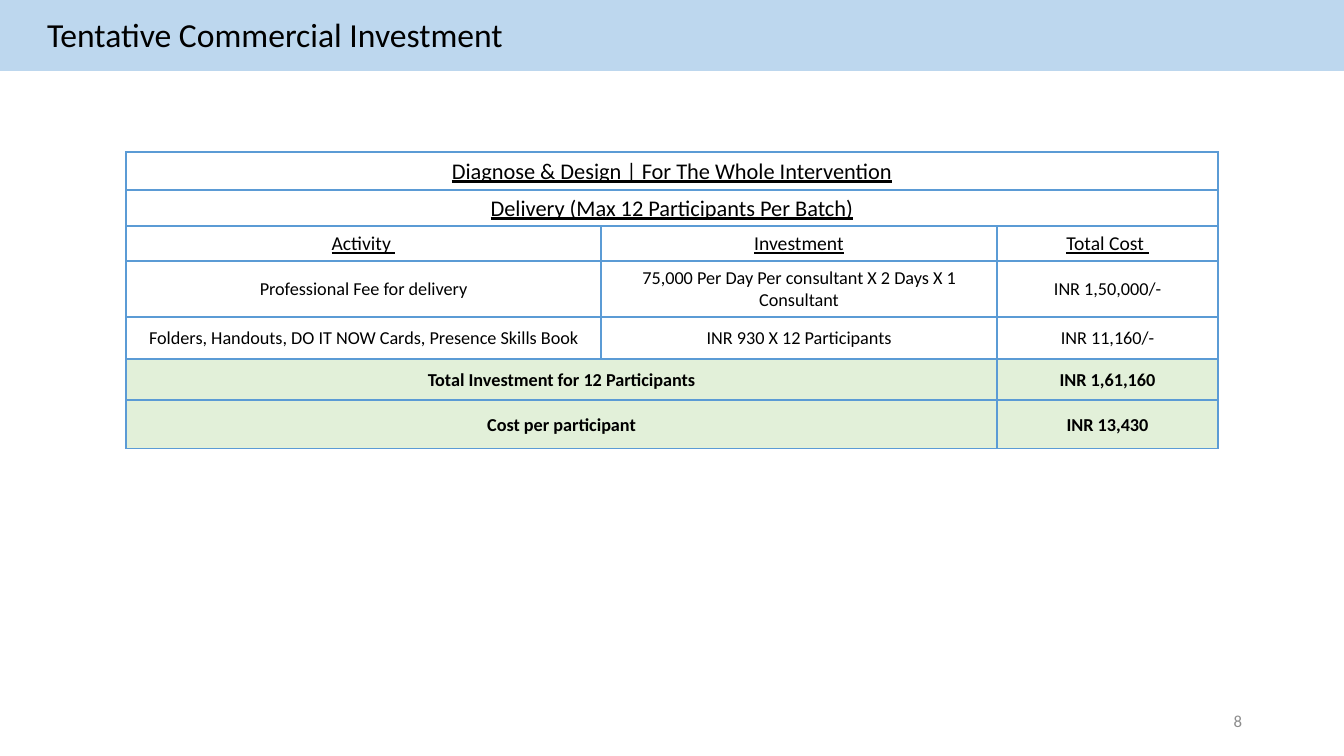
"""Build the commercial investment slide with its cost table."""
import dataclasses
import typing

import lxml.etree
import pptx
import pptx.dml.color
import pptx.enum.shapes
import pptx.enum.text
import pptx.oxml.ns
import pptx.util

EMU_PER_PX = 914400 / 100.8
FONT = "Calibri"
BLACK, GREY = "000000", "8C8C8C"
BAR_BLUE, BORDER_BLUE, TOTAL_GREEN = "BDD7EE", "5B9BD5", "E2F0D9"
ALIGN = pptx.enum.text.PP_ALIGN
ANCHOR = pptx.enum.text.MSO_ANCHOR
AUTO_SIZE = pptx.enum.text.MSO_AUTO_SIZE


@dataclasses.dataclass(frozen=True)
class Box:
    left: int
    top: int
    width: int
    height: int


@dataclasses.dataclass(frozen=True)
class CostRow:
    height: int
    texts: tuple[str, ...]
    size: int = 13
    underline: bool = False
    bold: bool = False
    fill: str | None = None


TABLE_LEFT, TABLE_TOP = 126, 152
COLUMN_WIDTHS = (475, 396, 221)
COST_ROWS = (
    CostRow(38, ("Diagnose & Design | For The Whole Intervention",), 16, underline=True),
    CostRow(36, ("Delivery (Max 12 Participants Per Batch)",), 16, underline=True),
    CostRow(35, ("Activity ", "Investment", "Total Cost "), 14, underline=True),
    CostRow(56, ("Professional Fee for delivery",
                 "75,000 Per Day Per consultant X 2 Days X 1 Consultant",
                 "INR 1,50,000/-")),
    CostRow(42, ("Folders, Handouts, DO IT NOW Cards, Presence Skills Book",
                 "INR 930 X 12 Participants", "INR 11,160/-")),
    CostRow(41, ("Total Investment for 12 Participants", "INR 1,61,160"),
            bold=True, fill=TOTAL_GREEN),
    CostRow(49, ("Cost per participant", "INR 13,430"), bold=True, fill=TOTAL_GREEN),
)


def px(value: int) -> pptx.util.Emu:
    """Turn px into EMU."""
    return pptx.util.Emu(round(value * EMU_PER_PX))


def rgb(color: str) -> pptx.dml.color.RGBColor:
    """Turn a hex string into a colour."""
    return pptx.dml.color.RGBColor.from_string(color)


def apply_format(target: typing.Any, values: dict[str, typing.Any]) -> None:
    """Set each named attribute on the target."""
    for name, value in values.items():
        setattr(target, name, value)


def box_lengths(box: Box) -> dict[str, pptx.util.Emu]:
    """Give the position and size of a box in EMU."""
    return {name: px(value) for name, value in dataclasses.asdict(box).items()}


def write_text(frame: typing.Any, text: str, size: int, color: str, align: typing.Any,
               bold: bool = False, underline: bool = False) -> None:
    """Write one formatted paragraph into a text frame."""
    paragraph = frame.paragraphs[0]
    paragraph.alignment = align
    run = paragraph.add_run()
    run.text = text
    apply_format(run.font, {"name": FONT, "size": pptx.util.Pt(size),
                            "bold": bold, "underline": underline})
    run.font.color.rgb = rgb(color)


def add_title(slide: typing.Any) -> None:
    """Place the title on a blue bar."""
    bar_box = box_lengths(Box(0, -2, 1344, 73))
    bar = slide.shapes.add_shape(pptx.enum.shapes.MSO_SHAPE.RECTANGLE, **bar_box)
    bar.shadow.inherit = False
    bar.fill.solid()
    bar.fill.fore_color.rgb = rgb(BAR_BLUE)
    bar.line.fill.background()
    title = slide.shapes.title
    title.element.addprevious(bar.element)
    apply_format(title, box_lengths(Box(37, 9, 481, 50)))
    apply_format(title.text_frame, {"word_wrap": False, "vertical_anchor": ANCHOR.TOP,
                                    "auto_size": AUTO_SIZE.SHAPE_TO_FIT_TEXT})
    write_text(title.text_frame, "Tentative Commercial Investment", 24, BLACK, ALIGN.LEFT)


def add_borders(cell: typing.Any) -> None:
    """Draw a thin blue line on all four sides of a cell."""
    qn = pptx.oxml.ns.qn
    properties = cell._tc.get_or_add_tcPr()
    for side in ("a:lnL", "a:lnR", "a:lnT", "a:lnB"):
        line = lxml.etree.SubElement(properties, qn(side), w=str(pptx.util.Pt(1)))
        fill = lxml.etree.SubElement(line, qn("a:solidFill"))
        lxml.etree.SubElement(fill, qn("a:srgbClr"), val=BORDER_BLUE)


def format_cell(cell: typing.Any, fill: str | None) -> None:
    """Give a cell its margins, borders and fill."""
    apply_format(cell, {"margin_left": px(1), "margin_right": px(1), "margin_top": px(1),
                        "margin_bottom": 0, "vertical_anchor": ANCHOR.MIDDLE})
    add_borders(cell)
    if fill is None:
        cell.fill.background()
    else:
        cell.fill.solid()
        cell.fill.fore_color.rgb = rgb(fill)


def add_cost_table(slide: typing.Any) -> None:
    """Add the cost table, merging the first cells of short rows."""
    box = Box(TABLE_LEFT, TABLE_TOP, sum(COLUMN_WIDTHS), sum(row.height for row in COST_ROWS))
    table = slide.shapes.add_table(len(COST_ROWS), len(COLUMN_WIDTHS), **box_lengths(box)).table
    apply_format(table, {"first_row": False, "horz_banding": False})
    for column, width in zip(table.columns, COLUMN_WIDTHS):
        column.width = px(width)
    for index, row in enumerate(COST_ROWS):
        table.rows[index].height = px(row.height)
        cells = list(table.rows[index].cells)
        for cell in cells:
            format_cell(cell, row.fill)
        spare = len(cells) - len(row.texts)
        if spare:
            cells[0].merge(cells[spare])
        for cell, text in zip([cells[0], *cells[spare + 1:]], row.texts):
            write_text(cell.text_frame, text, row.size, BLACK, ALIGN.CENTER,
                       row.bold, row.underline)


def add_page_number(slide: typing.Any) -> None:
    """Add the page number at the lower right."""
    frame = slide.shapes.add_textbox(**box_lengths(Box(950, 701, 302, 40))).text_frame
    apply_format(frame, {"word_wrap": True, "vertical_anchor": ANCHOR.MIDDLE})
    write_text(frame, "8", 12, GREY, ALIGN.RIGHT)


def main() -> None:
    """Build and save the presentation."""
    presentation = pptx.Presentation()
    apply_format(presentation, {"slide_width": px(1344), "slide_height": px(756)})
    slide = presentation.slides.add_slide(presentation.slide_layouts.get_by_name("Title Only"))
    add_title(slide)
    add_cost_table(slide)
    add_page_number(slide)
    presentation.save("out.pptx")


if __name__ == "__main__":
    main()
